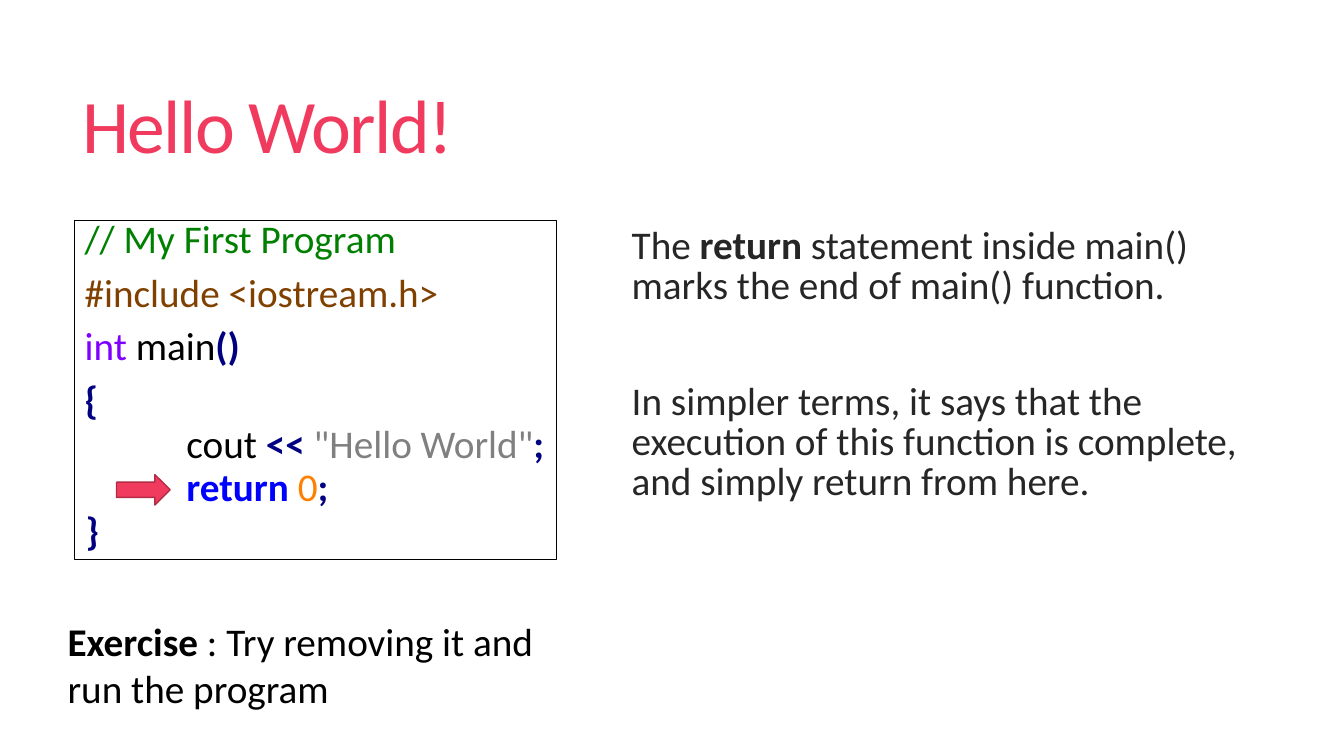
from lxml.etree import SubElement
from pptx import Presentation
from pptx.dml.color import RGBColor
from pptx.enum.shapes import MSO_SHAPE
from pptx.enum.text import MSO_ANCHOR, MSO_AUTO_SIZE, PP_ALIGN
from pptx.oxml.ns import qn
from pptx.util import Pt

PX = 9525
FONT = "Calibri"
BLACK = RGBColor(0x00, 0x00, 0x00)
CHARCOAL = RGBColor(0x26, 0x26, 0x26)
PINK = RGBColor(0xF0, 0x3B, 0x5E)
DARK_PINK = RGBColor(0xB2, 0x2C, 0x46)
GREEN = RGBColor(0x00, 0x80, 0x00)
BROWN = RGBColor(0x80, 0x40, 0x00)
PURPLE = RGBColor(0x80, 0x00, 0xFF)
NAVY = RGBColor(0x00, 0x00, 0x80)
BLUE = RGBColor(0x00, 0x00, 0xFF)
GREY = RGBColor(0x80, 0x80, 0x80)
ORANGE = RGBColor(0xFF, 0x80, 0x00)


def place(sp, left, top, width, height, anchor=MSO_ANCHOR.TOP):
    """Position a text shape in px and return its text frame, ready to fill."""
    sp.left, sp.top, sp.width, sp.height = (v * PX for v in (left, top, width, height))
    tf = sp.text_frame
    tf.word_wrap = True
    tf.auto_size = MSO_AUTO_SIZE.NONE
    tf.vertical_anchor = anchor
    return tf


def write_paragraphs(tf, paragraphs, size=28):
    """Write (indent px, line spacing, space before, runs) rows without bullets."""
    for i, (indent, spacing, before, runs) in enumerate(paragraphs):
        p = tf.add_paragraph() if i else tf.paragraphs[0]
        p.alignment = PP_ALIGN.LEFT
        p.line_spacing = spacing
        p.space_before = Pt(before)
        p.space_after = Pt(0)
        pPr = p._p.get_or_add_pPr()
        pPr.set("marL", str(indent * PX))
        pPr.set("indent", "0")
        SubElement(pPr, qn("a:buNone"))
        for text, color, bold in runs:
            r = p.add_run()
            r.text = text
            r.font.name = FONT
            r.font.size = Pt(size)
            r.font.bold = bold
            r.font.color.rgb = color


prs = Presentation()
prs.slide_width, prs.slide_height = 1280 * PX, 720 * PX
slide = prs.slides.add_slide(prs.slide_layouts[3])
title, code, notes = slide.placeholders

tf = place(title, 69, 37, 1131, 174, MSO_ANCHOR.MIDDLE)
write_paragraphs(tf, [(0, 0.85, 0, [("Hello World!", PINK, False)])], size=54)
tf.paragraphs[0].runs[0].font._element.set("spc", "-120")

tf = place(code, 71, 210, 459, 323)
code.line.color.rgb = BLACK
code.line.width = Pt(0.75)
write_paragraphs(tf, [
    (0, 0.75, 13, [("// My First Program", GREEN, False)]),
    (0, 0.75, 13, [("#include <iostream.h>", BROWN, False)]),
    (0, 0.75, 13, [("int ", PURPLE, False), ("main", BLACK, False), ("()", NAVY, True)]),
    (0, 0.75, 13, [("{", NAVY, True)]),
    (97, 0.75, 6, [("cout ", BLACK, False), ("<< ", NAVY, True),
                   ('"Hello World"', GREY, False), (";", NAVY, True)]),
    (97, 0.75, 6, [("return ", BLUE, True), ("0", ORANGE, False), (";", NAVY, True)]),
    (1, 0.75, 6, [("}", NAVY, True)]),
])

tf = place(notes, 582, 212, 651, 465)
write_paragraphs(tf, [
    (10, 0.85, 13, [("The ", CHARCOAL, False), ("return ", CHARCOAL, True),
                    ("statement inside main() marks the end of main() function.",
                     CHARCOAL, False)]),
    (10, 0.85, 54, [("In simpler terms, it says that the execution of this function "
                     "is complete, and simply return from here.", CHARCOAL, False)]),
])

tf = place(slide.shapes.add_textbox(0, 0, 0, 0), 55, 583, 475, 100)
write_paragraphs(tf, [
    (0, 1.0, 0, [("Exercise", BLACK, True),
                 (" : Try removing it and run the program", BLACK, False)]),
])

arrow = slide.shapes.add_shape(MSO_SHAPE.RIGHT_ARROW, 111 * PX, 452 * PX, 51 * PX, 29 * PX)
arrow.shadow.inherit = False
arrow.fill.solid()
arrow.fill.fore_color.rgb = PINK
arrow.line.color.rgb = DARK_PINK
arrow.line.width = Pt(1)

prs.save("out.pptx")
